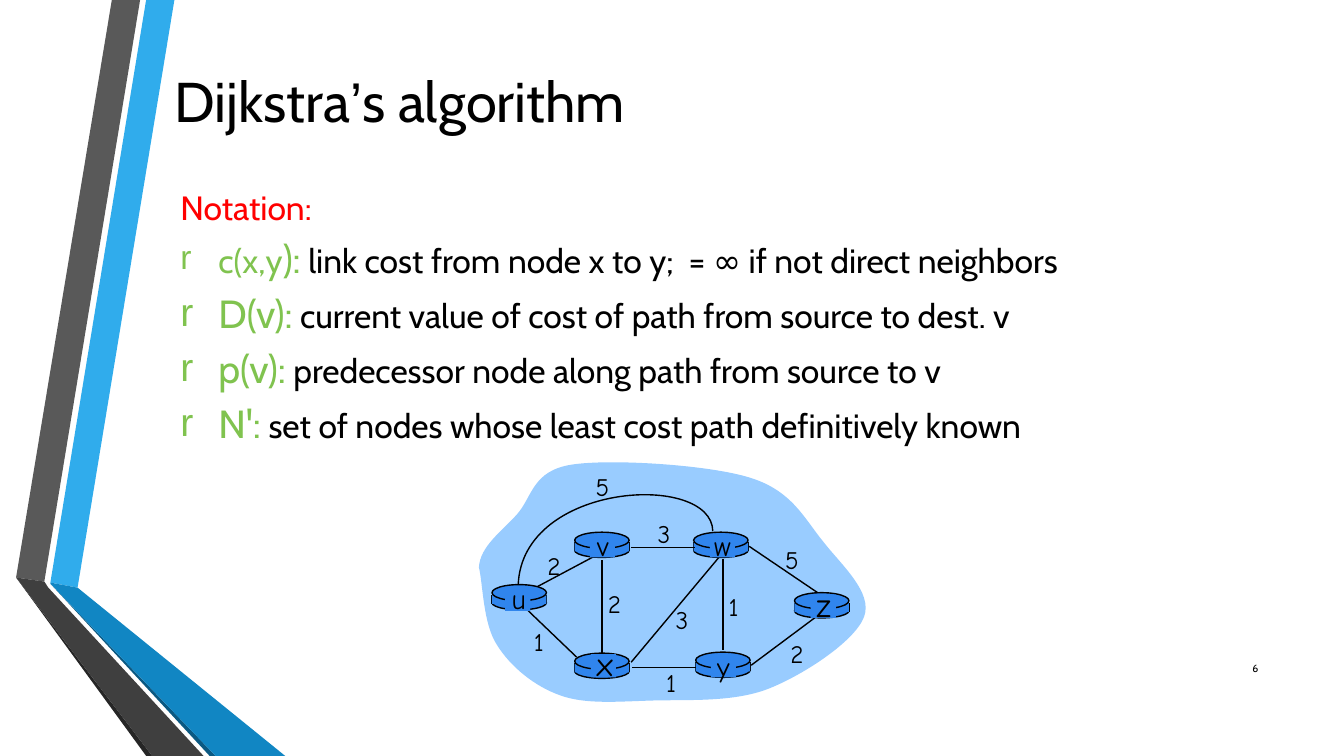
from lxml import etree
from pptx import Presentation
from pptx.dml.color import RGBColor
from pptx.enum import shapes, text
from pptx.oxml import ns
from pptx.util import Inches, Pt

BLACK = RGBColor(0x00, 0x00, 0x00)
RED = RGBColor(0xFF, 0x00, 0x00)
GREEN = RGBColor(0x80, 0xC3, 0x4F)
CLOUD_BLUE = RGBColor(0x99, 0xCC, 0xFF)
ROUTER_BLUE = RGBColor(0x30, 0x85, 0xED)

BANDS = [
    (RGBColor(0x30, 0xAC, 0xEC), [(0.5, 5.78), (0.77, 5.83), (1.73, 0), (1.45, 0)]),
    (RGBColor(0x59, 0x59, 0x59), [(1.39, 0), (1.11, 0), (0.16, 5.73), (0.44, 5.77)]),
    (RGBColor(0x26, 0x26, 0x26), [(0.16, 5.73), (1.45, 7.5), (1.51, 7.5)]),
    (RGBColor(0x0B, 0x59, 0x82), [(0.5, 5.79), (2.08, 7.5), (2.14, 7.5)]),
    (RGBColor(0x11, 0x86, 0xC3), [(0.5, 5.79), (2.14, 7.5), (2.83, 7.5), (0.77, 5.83), (0.5, 5.78)]),
    (RGBColor(0x3F, 0x3F, 0x3F), [(2.02, 7.5), (0.48, 5.83), (0.44, 5.77), (0.16, 5.73), (1.51, 7.5)]),
]

NOTATION = [
    [("Notation:", 24, RED)],
    [("c(x,y", 24, GREEN), ("):", 28, GREEN),
     (" link cost from node x to y;  = ∞ if not direct neighbors", 24, BLACK)],
    [("D(v):", 28, GREEN), (" current value of cost of path from source to dest. v", 24, BLACK)],
    [("p(v):", 28, GREEN), (" predecessor node along path from source to v", 24, BLACK)],
    [("N':", 28, GREEN), (" set of nodes whose least cost path definitively known", 24, BLACK)],
]
HANGING_INDENT = Pt(27)

# Each curve is a start point followed by control, control, end for every segment.
CLOUD = [
    (4.75, 5.63),
    (4.76, 5.42), (4.98, 5.27), (5.13, 5.1),
    (5.28, 4.93), (5.28, 4.67), (5.67, 4.61),
    (6.05, 4.55), (7.03, 4.61), (7.44, 4.74),
    (7.86, 4.87), (7.98, 5.15), (8.17, 5.38),
    (8.35, 5.61), (8.66, 5.88), (8.57, 6.12),
    (8.48, 6.36), (7.98, 6.69), (7.63, 6.83),
    (7.28, 6.97), (6.82, 6.94), (6.47, 6.95),
    (6.13, 6.96), (5.81, 6.99), (5.56, 6.9),
    (5.3, 6.81), (5.06, 6.61), (4.93, 6.4),
    (4.79, 6.19), (4.79, 5.79), (4.75, 5.63),
]
ARC_U_W = [(7.07, 5.27), (7.06, 4.68), (5.18, 4.78), (5.14, 5.8)]

# name: left, top
ROUTERS = {
    "u": (4.88, 5.8), "x": (5.7, 6.48), "v": (5.7, 5.28),
    "w": (6.88, 5.28), "y": (6.9, 6.47), "z": (7.88, 5.88),
}
ROUTER_WIDTH = 0.54
# name, its patch left and top, its text box, size
ROUTER_NAMES = [
    ("u", (5.01, 5.83), (4.97, 5.72, 0.35, 0.43), 20),
    ("y", (7.05, 6.49), (7, 6.39, 0.35, 0.43), 20),
    ("x", (5.86, 6.49), (5.8, 6.33, 0.4, 0.5), 24),
    ("w", (7.04, 5.3), (6.97, 5.19, 0.39, 0.43), 20),
    ("v", (5.85, 5.3), (5.81, 5.19, 0.34, 0.43), 20),
    ("z", (8.04, 5.9), (7.98, 5.74, 0.38, 0.5), 24),
]

LINK_U_V = (5.33, 5.82, 5.93, 5.5)
LINKS = [
    (7.17, 5.55, 7.17, 6.45), (5.97, 5.56, 5.97, 6.49), (6.26, 6.57, 7.13, 5.53),
    (7.45, 6.6, 8.08, 6.13), (6.9, 6.62, 6.27, 6.62), (5.72, 6.52, 5.24, 6.06),
    (6.89, 5.43, 6.26, 5.43), (8.11, 5.88, 7.43, 5.42),
]
# cost, left, top, width
COSTS = [
    ("2", 5.32, 5.41, 0.35), ("2", 5.92, 5.79, 0.35), ("1", 5.19, 6.16, 0.31),
    ("3", 6.59, 5.95, 0.35), ("1", 6.5, 6.57, 0.31), ("1", 7.12, 5.82, 0.31),
    ("2", 7.73, 6.28, 0.35), ("5", 7.68, 5.35, 0.35), ("3", 6.41, 5.09, 0.35),
    ("5", 5.8, 4.63, 0.35),
]


def place(shape, left, top, width, height):
    shape.left, shape.top = Inches(left), Inches(top)
    shape.width, shape.height = Inches(width), Inches(height)


def paint(shape, fill=None, line=None):
    shape.shadow.inherit = False
    if fill is None:
        shape.fill.background()
    else:
        shape.fill.solid()
        shape.fill.fore_color.rgb = fill
    if line is None:
        shape.line.fill.background()
    else:
        shape.line.color.rgb = line
        shape.line.width = Pt(1)


def add_span(para, words, size, color=BLACK, font="Cabin"):
    span = para.add_run()
    span.text = words
    span.font.size, span.font.name = Pt(size), font
    span.font.color.rgb = color


def add_label(page, words, left, top, width, height, size, font="Comic Neue",
              align=text.PP_ALIGN.CENTER, anchor=text.MSO_ANCHOR.TOP, wrap=False):
    box = page.shapes.add_textbox(*map(Inches, (left, top, width, height)))
    box.text_frame.word_wrap = wrap
    box.text_frame.vertical_anchor = anchor
    para = box.text_frame.paragraphs[0]
    para.alignment = align
    add_span(para, words, size, font=font)


def add_outline(page, points, fill=None, line=None, close=True):
    start, *rest = [(Inches(x), Inches(y)) for x, y in points]
    builder = page.shapes.build_freeform(*start)
    builder.add_line_segments(rest, close=close)
    shape = builder.convert_to_shape()
    paint(shape, fill, line)
    return shape


def bend(shape):
    """Turn every three straight segments into one cubic curve."""
    segments = list(shape._element.iter(ns.qn("a:lnTo")))
    for first, second, end in zip(*[iter(segments)] * 3):
        curve = etree.Element(ns.qn("a:cubicBezTo"))
        first.addprevious(curve)
        for segment in (first, second, end):
            curve.append(segment[0])
            segment.getparent().remove(segment)


def add_link(page, *ends):
    link = page.shapes.add_connector(shapes.MSO_CONNECTOR.STRAIGHT, *map(Inches, ends))
    link.line.color.rgb = BLACK
    link.line.width = Pt(1)
    etree.SubElement(link._element.spPr, ns.qn("a:effectLst"))


def add_block(page, kind, left, top, width, height, line=None):
    shape = page.shapes.add_shape(kind, *map(Inches, (left, top, width, height)))
    paint(shape, ROUTER_BLUE, line)


def add_router(page, left, top):
    oval, rect = shapes.MSO_SHAPE.OVAL, shapes.MSO_SHAPE.RECTANGLE
    add_block(page, oval, left, top + 0.11, ROUTER_WIDTH, 0.14, BLACK)
    for side in (left, left + ROUTER_WIDTH):
        add_link(page, side, top + 0.1, side, top + 0.19)
    add_block(page, rect, left, top + 0.1, ROUTER_WIDTH, 0.09)
    add_block(page, oval, left, top, ROUTER_WIDTH, 0.16, BLACK)


def set_bullet(para, letter=None):
    props = para._p.get_or_add_pPr()
    props.set("marL", str(HANGING_INDENT))
    props.set("indent", str(-HANGING_INDENT))
    if letter is None:
        etree.SubElement(props, ns.qn("a:buNone"))
        return
    color = etree.SubElement(props, ns.qn("a:buClr"))
    etree.SubElement(color, ns.qn("a:srgbClr"), val=str(GREEN))
    etree.SubElement(props, ns.qn("a:buFont"), typeface="Arial")
    etree.SubElement(props, ns.qn("a:buChar"), char=letter)


def fill_title(title):
    place(title, 1.63, 0.31, 10.96, 1.37)
    title.text_frame.vertical_anchor = text.MSO_ANCHOR.MIDDLE
    title.text_frame.auto_size = text.MSO_AUTO_SIZE.NONE
    para = title.text_frame.paragraphs[0]
    para.alignment = text.PP_ALIGN.LEFT
    for words, font in (("Dijkstra", "Cabin"), ("’", "Arial"), ("s algorithm", "Cabin")):
        add_span(para, words, 40, font=font)


def fill_notation(body):
    place(body, 1.69, 1.8, 10.58, 5.08)
    frame = body.text_frame
    frame.auto_size = text.MSO_AUTO_SIZE.NONE
    for index, spans in enumerate(NOTATION):
        para = frame.add_paragraph() if index else frame.paragraphs[0]
        para.space_before = Pt(5.6 if index else 0)
        set_bullet(para, "r" if index else None)
        for span in spans:
            add_span(para, *span)


def add_network(page):
    bend(add_outline(page, CLOUD, fill=CLOUD_BLUE))
    add_link(page, *LINK_U_V)
    for corner in ROUTERS.values():
        add_router(page, *corner)
    for link in LINKS:
        add_link(page, *link)
    bend(add_outline(page, ARC_U_W, line=BLACK, close=False))
    for name, patch, box, size in ROUTER_NAMES:
        add_block(page, shapes.MSO_SHAPE.RECTANGLE, *patch, 0.25, 0.23)
        add_label(page, name, *box, size)
    for cost, left, top, width in COSTS:
        add_label(page, cost, left, top, width, 0.4, 18)


def main():
    deck = Presentation()
    deck.slide_width, deck.slide_height = Inches(13.33), Inches(7.5)
    page = deck.slides.add_slide(deck.slide_layouts[1])
    for color, points in BANDS:
        add_outline(page, points, fill=color)
    fill_title(page.shapes.title)
    fill_notation(page.placeholders[1])
    add_network(page)
    add_label(page, "6", 11.98, 6.43, 0.6, 0.4, 7.5, font="Cabin", wrap=True,
              align=text.PP_ALIGN.RIGHT, anchor=text.MSO_ANCHOR.MIDDLE)
    deck.save("out.pptx")


if __name__ == "__main__":
    main()
